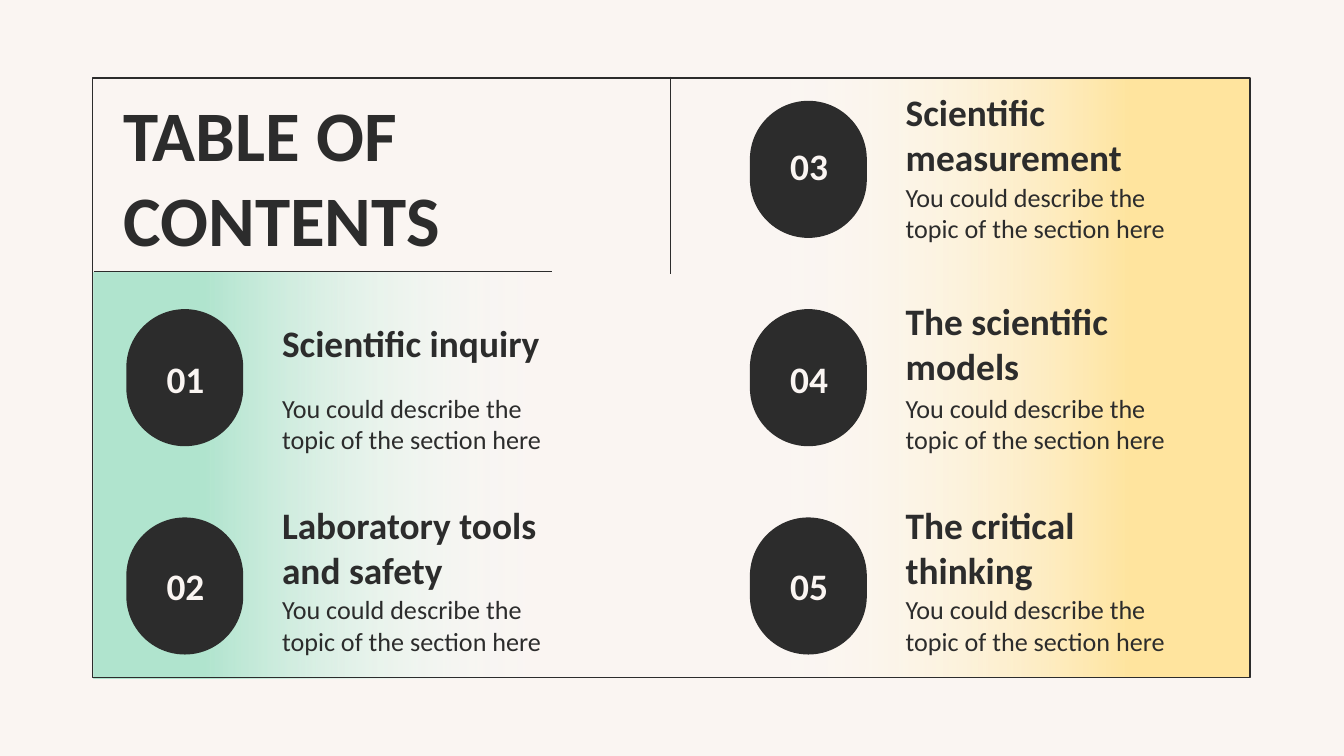
import pptx
import pptx.util
import pptx.dml.color
import pptx.enum.shapes
import pptx.enum.text
from lxml import etree

Inches = pptx.util.Inches
RGBColor = pptx.dml.color.RGBColor
Shape = pptx.enum.shapes.MSO_SHAPE
Align = pptx.enum.text.PP_ALIGN

CREAM = RGBColor(0xFA, 0xF5, 0xF2)
INK = RGBColor(0x2C, 0x2C, 0x2C)
YELLOW = RGBColor(0xFF, 0xE4, 0x9E)
GREEN = RGBColor(0xB0, 0xE4, 0xCE)
WHITE = RGBColor(0xFF, 0xFF, 0xFF)
FONT = "Calibri"
DRAWING = "http://schemas.openxmlformats.org/drawingml/2006/main"

TITLE = "TABLE OF CONTENTS"
DESCRIPTION = "You could describe the topic of the section here"
SECTIONS = [
    ("01", "Scientific inquiry", 0, 1),
    ("02", "Laboratory tools and safety", 0, 2),
    ("03", "Scientific measurement", 1, 0),
    ("04", "The scientific models", 1, 1),
    ("05", "The critical thinking", 1, 2),
]
COLUMN_LEFTS = [0.94, 5.58]
ROWS = [
    {"number": 0.97, "heading": 0.70, "description": 1.28},
    {"number": 2.55, "heading": 2.25, "description": 2.85},
    {"number": 4.09, "heading": 3.77, "description": 4.35},
]
PILL_TOP, PILL_STEP = 0.75, 1.55
PANELS = [
    ((5.23, 0.97, 4.46, 3.68), 90, YELLOW),
    ((0.88, 1.84, 3.02, 3.39), 270, GREEN),
]
DIVIDERS = [(4.99, 0.57, 4.99, 2.04), (0.70, 2.02, 4.11, 2.02)]
FRAME = (0.69, 0.58, 8.61, 4.46)


def add_shape(page, kind, place, fill=None, line=None):
    shape = page.shapes.add_shape(kind, *map(Inches, place))
    shape.shadow.inherit = False
    if fill is None:
        shape.fill.background()
    else:
        shape.fill.solid()
        shape.fill.fore_color.rgb = fill
    if line is None:
        shape.line.fill.background()
    else:
        shape.line.color.rgb = line
        shape.line.width = pptx.util.Pt(0.75)
    return shape


def add_panel(page, place, rotation, color):
    panel = add_shape(page, Shape.RECTANGLE, place, color)
    panel.rotation = rotation
    gradient = etree.fromstring(
        f'<a:gradFill xmlns:a="{DRAWING}" rotWithShape="1"><a:gsLst>'
        f'<a:gs pos="0"><a:srgbClr val="{color}"/></a:gs>'
        f'<a:gs pos="24000"><a:srgbClr val="{color}"/></a:gs>'
        f'<a:gs pos="100000"><a:srgbClr val="{WHITE}"><a:alpha val="0"/></a:srgbClr></a:gs>'
        '</a:gsLst><a:lin ang="5400000" scaled="0"/></a:gradFill>'
    )
    properties = panel.element.spPr
    properties.replace(properties.find(f"{{{DRAWING}}}solidFill"), gradient)


def add_divider(page, ends):
    divider = page.shapes.add_connector(
        pptx.enum.shapes.MSO_CONNECTOR.STRAIGHT, *map(Inches, ends)
    )
    divider.line.color.rgb = INK
    divider.line.width = pptx.util.Pt(0.75)
    etree.SubElement(divider.element.spPr, f"{{{DRAWING}}}effectLst")


def add_text(page, place, text, size, color=INK, bold=True, align=Align.LEFT, after=0):
    box = page.shapes.add_textbox(*map(Inches, place))
    frame = box.text_frame
    frame.word_wrap = True
    frame.vertical_anchor = pptx.enum.text.MSO_ANCHOR.MIDDLE
    frame.margin_left = frame.margin_right = Inches(0.1)
    frame.margin_top = frame.margin_bottom = Inches(0.1)
    para = frame.paragraphs[0]
    para.alignment = align
    para.space_after = pptx.util.Pt(after)
    span = para.add_run()
    span.text = text
    span.font.name = FONT
    span.font.size = pptx.util.Pt(size)
    span.font.bold = bold
    span.font.color.rgb = color


def add_section(page, number, heading, column, row):
    left = COLUMN_LEFTS[column]
    tops = ROWS[row]
    pill_place = (left, PILL_TOP + row * PILL_STEP, 0.87, 1.02)
    pill = add_shape(page, Shape.ROUNDED_RECTANGLE, pill_place, INK)
    pill.adjustments[0] = 0.5
    add_text(page, (left + 0.05, tops["number"], 0.78, 0.53), number, 20, CREAM,
             align=Align.CENTER)
    add_text(page, (left + 1.06, tops["description"], 2.41, 0.6), DESCRIPTION, 14,
             bold=False, after=12)
    add_text(page, (left + 1.06, tops["heading"], 2.41, 0.6), heading, 20)


def main():
    deck = pptx.Presentation()
    deck.slide_width = Inches(10)
    deck.slide_height = deck.slide_width * 9 // 16
    page = deck.slides.add_slide(deck.slide_layouts[6])
    page.background.fill.solid()
    page.background.fill.fore_color.rgb = CREAM
    for panel in PANELS:
        add_panel(page, *panel)
    for divider in DIVIDERS:
        add_divider(page, divider)
    add_shape(page, Shape.RECTANGLE, FRAME, line=INK)
    for section in SECTIONS:
        add_section(page, *section)
    add_text(page, (0.82, 0.70, 3.36, 1.21), TITLE, 38)
    deck.save("out.pptx")


if __name__ == "__main__":
    main()
